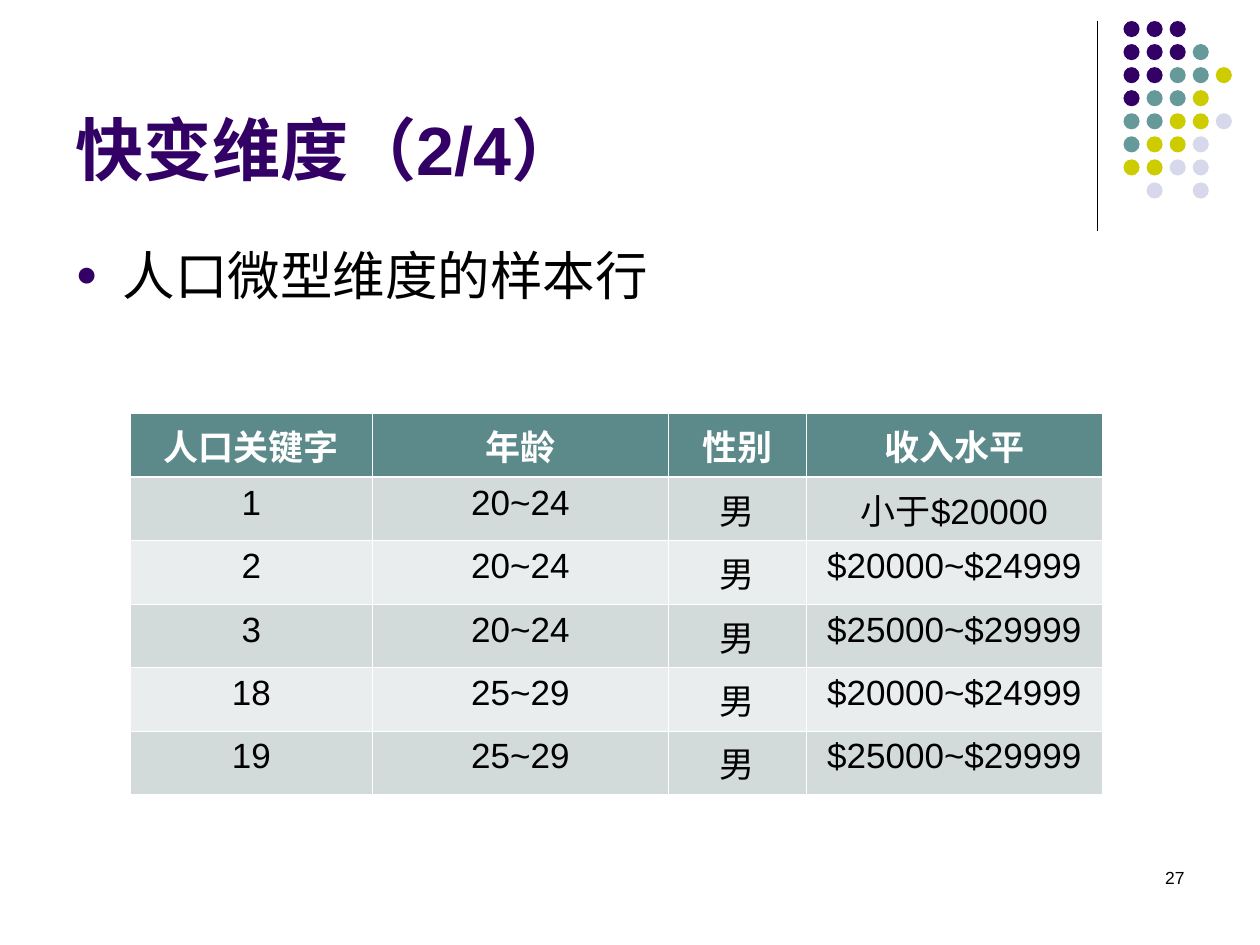
import pptx
import pptx.dml.color
import pptx.enum.shapes
import pptx.enum.text
import pptx.oxml
import pptx.oxml.ns
import pptx.util

Pt = pptx.util.Pt
RGB = pptx.dml.color.RGBColor.from_string
ALIGN = pptx.enum.text.PP_ALIGN
ANCHOR = pptx.enum.text.MSO_ANCHOR
NS = pptx.oxml.ns.nsdecls("a")

THEME = {
    "font": "Arial",
    "purple": "330066", "teal": "669999", "olive": "CCCC00", "lilac": "D8D8EC",
    "ink": "000000", "paper": "FFFFFF",
    "header": "5C8A8A", "odd": "D2DADA", "even": "EAEDED",
    "title_size": 39, "body_size": 30, "table_size": 20, "number_size": 10,
}


def write(frame, text, size, color, bold=False, align=ALIGN.LEFT):
    paragraph = frame.paragraphs[0]
    for name, value in {"alignment": align, "line_spacing": 1.0, "space_before": Pt(0)}.items():
        setattr(paragraph, name, value)
    run = paragraph.add_run()
    run.text = text
    for name, value in {"name": THEME["font"], "size": Pt(THEME[size]), "bold": bold}.items():
        setattr(run.font, name, value)
    run.font.color.rgb = RGB(THEME[color])
    return paragraph


def place(box, left, top, width, height, anchor):
    bounds = {"left": left, "top": top, "width": width, "height": height}
    for name, value in bounds.items():
        setattr(box, name, Pt(value))
    layout = {"word_wrap": True, "auto_size": pptx.enum.text.MSO_AUTO_SIZE.NONE,
              "vertical_anchor": anchor}
    for name, value in layout.items():
        setattr(box.text_frame, name, value)
    return box.text_frame


deck = pptx.Presentation()
deck.slide_width, deck.slide_height = Pt(720), Pt(540)
slide = deck.slides.add_slide(deck.slide_layouts[1])

# Corner rule
rule = slide.shapes.add_connector(
    pptx.enum.shapes.MSO_CONNECTOR.STRAIGHT, Pt(627), Pt(12), Pt(627), Pt(132))
rule.line.color.rgb = RGB(THEME["ink"])
rule.line.width = Pt(0.75)
rule._element.spPr.append(pptx.oxml.parse_xml(f"<a:effectLst {NS}/>"))

# Corner dots: one letter per dot, a full stop for a gap
DOT_ROWS = ["PPP", "PPPT", "PPTTO", "PTTO", "TTOOL", "TOOL", "OOLL", ".L.L"]
DOT_COLORS = {"P": "purple", "T": "teal", "O": "olive", "L": "lilac"}
DOT_SIZE, DOT_STEP = 9.2, 13.18
dots = slide.shapes.add_group_shape()
for row, letters in enumerate(DOT_ROWS):
    for column, letter in enumerate(letters):
        if letter == ".":
            continue
        dot = dots.shapes.add_shape(
            pptx.enum.shapes.MSO_SHAPE.OVAL,
            Pt(642 + column * DOT_STEP), Pt(12 + row * DOT_STEP), Pt(DOT_SIZE), Pt(DOT_SIZE))
        dot.shadow.inherit = False
        dot.fill.solid()
        dot.fill.fore_color.rgb = RGB(THEME[DOT_COLORS[letter]])
        dot.line.fill.background()

# Title
title = place(slide.shapes.title, 36, 9.5, 594, 102, ANCHOR.BOTTOM)
write(title, "快变维度（2/4）", "title_size", "purple", bold=True)

# Bullet
body = place(slide.placeholders[1], 36, 135, 648, 347, ANCHOR.TOP)
bullet = write(body, "人口微型维度的样本行", "body_size", "ink")
bullet_format = bullet._p.get_or_add_pPr()
for name, value in {"marL": Pt(27), "indent": -Pt(27)}.items():
    bullet_format.set(name, str(value))
for xml in (f'<a:buClr {NS}><a:srgbClr val="{THEME["purple"]}"/></a:buClr>',
            f'<a:buSzPct {NS} val="70000"/>',
            f'<a:buFont {NS} typeface="{THEME["font"]}"/>',
            f'<a:buChar {NS} char="●"/>'):
    bullet_format.append(pptx.oxml.parse_xml(xml))

# Table of sample rows
RECORDS = [
    ("人口关键字", "年龄", "性别", "收入水平"),
    ("1", "20~24", "男", "小于$20000"),
    ("2", "20~24", "男", "$20000~$24999"),
    ("3", "20~24", "男", "$25000~$29999"),
    ("18", "25~29", "男", "$20000~$24999"),
    ("19", "25~29", "男", "$25000~$29999"),
]
COLUMN_WIDTHS = [138.3, 169.3, 78.7, 169.3]
ROW_HEIGHT = 31.2
samples = slide.shapes.add_table(
    len(RECORDS), len(COLUMN_WIDTHS), Pt(74.5), Pt(236.4),
    Pt(sum(COLUMN_WIDTHS)), Pt(ROW_HEIGHT * len(RECORDS))).table
for column, width in zip(samples.columns, COLUMN_WIDTHS):
    column.width = Pt(width)
for row, record in enumerate(RECORDS):
    samples.rows[row].height = Pt(ROW_HEIGHT)
    is_header = row == 0
    fill = "header" if is_header else "odd" if row % 2 else "even"
    borders = {"lnL": 0.45, "lnR": 0.45,
               "lnT": 1.47 if row == 1 else 0.45, "lnB": 1.47 if is_header else 0.45}
    for column, text in enumerate(record):
        cell = samples.cell(row, column)
        write(cell.text_frame, text, "table_size", "paper" if is_header else "ink",
              bold=is_header, align=ALIGN.CENTER)
        cell.fill.solid()
        cell.fill.fore_color.rgb = RGB(THEME[fill])
        for index, (side, weight) in enumerate(borders.items()):
            cell._tc.tcPr.insert(index, pptx.oxml.parse_xml(
                f'<a:{side} {NS} w="{Pt(weight)}"><a:solidFill>'
                f'<a:srgbClr val="{THEME["paper"]}"/></a:solidFill></a:{side}>'))

# Slide number
number = place(slide.shapes.add_textbox(0, 0, 0, 0), 516, 492, 168, 36, ANCHOR.TOP)
write(number, "27", "number_size", "ink", align=ALIGN.RIGHT)

deck.save("out.pptx")
